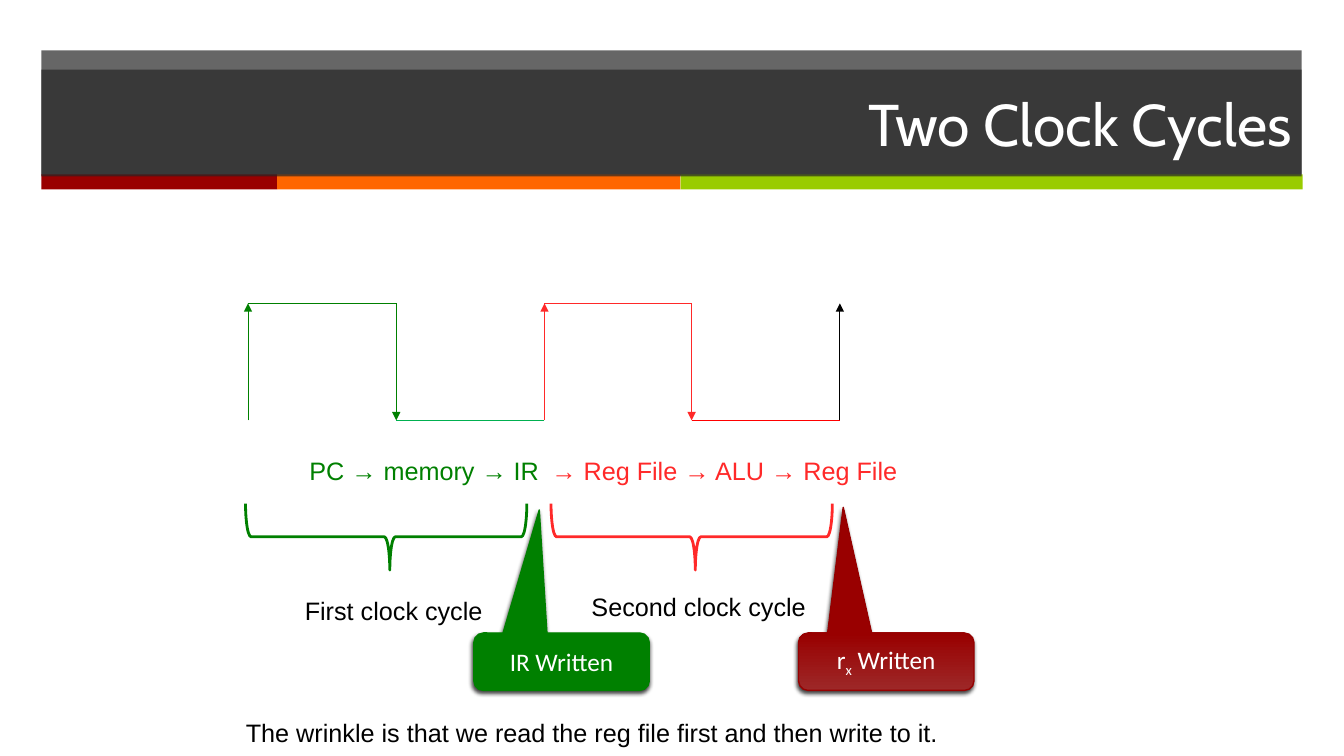
from pptx import Presentation
from pptx import util as u
from pptx.dml.color import RGBColor
from pptx.enum import shapes, text
from pptx.oxml import parse_xml
from pptx.oxml.ns import nsdecls, qn

PX = 9144
GREEN, RED, WHITE, BLACK = "008000", "FF2929", "FFFFFF", "000000"
LEFT, CENTER, RIGHT = text.PP_ALIGN.LEFT, text.PP_ALIGN.CENTER, text.PP_ALIGN.RIGHT
KIND = shapes.MSO_SHAPE
hue = RGBColor.from_string


def emu(*lengths):
    return [u.Emu(length * PX) for length in lengths]


def write(frame, spans, size, font, colour, align):
    para = frame.paragraphs[0]
    para.alignment = align
    para.font.size = u.Pt(size)
    para.font.name = font
    para.font.color.rgb = hue(colour)
    for words in spans:
        para.add_run().text = words


deck = Presentation()
deck.slide_width, deck.slide_height = emu(1333, 750)
page = deck.slides.add_slide(deck.slide_layouts[5])

band = page.shapes.add_shape(KIND.RECTANGLE, *emu(41, 50, 1250, 124))
for left, width, colour in [(41, 234, "990000"), (275, 400, "FF6600"), (675, 617, "99CC00")]:
    strip = page.shapes.add_shape(KIND.RECTANGLE, *emu(left, 173, width, 15))
    strip.shadow.inherit = False
    strip.fill.solid()
    strip.fill.fore_color.rgb = hue(colour)
    strip.line.fill.background()

title = page.shapes.title
title.left, title.top, title.width, title.height = emu(41, 69, 1250, 106)
title.text_frame.auto_size = text.MSO_AUTO_SIZE.NONE
title.text_frame.vertical_anchor = text.MSO_ANCHOR.MIDDLE
write(title.text_frame, ["Two Clock Cycles"], 42, "Cabin", WHITE, RIGHT)
title.element.getparent().append(title.element)

band.shadow.inherit = False
for panel in (band, title):
    panel.fill.solid()
    panel.fill.fore_color.rgb = hue("262626")
    panel.line.fill.background()
    tint = panel.element.spPr.find(qn("a:solidFill"))[0]
    tint.append(parse_xml(f'<a:alpha {nsdecls("a")} val="70000"/>'))

HIGH, LOW = 301, 417
edges = [246 + round(146.75 * step) for step in range(5)]
rises = [GREEN, GREEN, RED, RED, BLACK]
levels = [GREEN, "00B050", RED, "FF0000"]
wave = []
for step, (x, colour) in enumerate(zip(edges, rises)):
    start, end = (LOW, HIGH) if step % 2 == 0 else (HIGH, LOW)
    wave.append((x, start, x, end, colour, True))
    if step < len(levels):
        wave.append((x, end, edges[step + 1], end, levels[step], False))

for x1, y1, x2, y2, colour, arrow in wave:
    line = page.shapes.add_connector(shapes.MSO_CONNECTOR.STRAIGHT, *emu(x1, y1, x2, y2))
    line.line.color.rgb = hue(colour)
    line.line.width = u.Pt(0.75)
    if arrow:
        line.line._get_or_add_ln().append(
            parse_xml(f'<a:tailEnd {nsdecls("a")} type="triangle"/>'))
    line.element.spPr.append(parse_xml(f'<a:effectLst {nsdecls("a")}/>'))

for left, colour in [(350, GREEN), (653, RED)]:
    brace = page.shapes.add_shape(KIND.LEFT_BRACE, *emu(left, 393, 66, 279))
    brace.rotation = 270
    brace.adjustments[0] = 0.083
    brace.adjustments[1] = 0.513
    brace.shadow.inherit = False
    brace.fill.background()
    brace.line.color.rgb = hue(colour)
    brace.line.width = u.Pt(2)

labels = [
    (297, 447, 249, 40, False, "PC → memory → IR", GREEN, LEFT),
    (537, 447, 365, 40, False, "→ Reg File → ALU → Reg File", RED, LEFT),
    (287, 586, 207, 42, True, "First clock cycle", BLACK, CENTER),
    (571, 582, 244, 40, True, "Second clock cycle", BLACK, CENTER),
    (234, 707, 731, 40, True,
     "The wrinkle is that we read the reg file first and then write to it.", BLACK, LEFT),
]
for left, top, width, height, wrap, words, colour, align in labels:
    box = page.shapes.add_textbox(*emu(left, top, width, height))
    box.text_frame.word_wrap = wrap
    box.text_frame.auto_size = text.MSO_AUTO_SIZE.SHAPE_TO_FIT_TEXT
    write(box.text_frame, [words], 18, "Arial", colour, align)

callouts = [
    (470, (-0.127, -2.641, 0.167), [GREEN], GREEN, ["IR Written"]),
    (792, (-0.245, -2.686, 0.167), ["9D2828", "990000"], "960000", ["r", "x", " Written"]),
]
for left, tip, fills, outline, spans in callouts:
    callout = page.shapes.add_shape(KIND.ROUNDED_RECTANGULAR_CALLOUT, *emu(left, 628, 174, 57))
    for index, value in enumerate(tip):
        callout.adjustments[index] = value
    if len(fills) == 1:
        callout.fill.solid()
        callout.fill.fore_color.rgb = hue(fills[0])
    else:
        callout.fill.gradient()
        callout.fill.gradient_angle = 90
        for stop, colour in zip(callout.fill.gradient_stops, fills):
            stop.color.rgb = hue(colour)
    callout.line.color.rgb = hue(outline)
    callout.line.width = u.Pt(1)
    callout.shadow.inherit = False
    callout.element.spPr.find(qn("a:effectLst")).append(parse_xml(
        f'<a:outerShdw {nsdecls("a")} blurRad="38100" dist="25400" dir="6600000" rotWithShape="0">'
        '<a:srgbClr val="000000"><a:alpha val="75000"/></a:srgbClr></a:outerShdw>'))
    callout.text_frame.vertical_anchor = text.MSO_ANCHOR.MIDDLE
    write(callout.text_frame, spans, 18, "Calibri", WHITE, CENTER)
    for span in callout.text_frame.paragraphs[0].runs:
        if span.text == "x":
            span._r.get_or_add_rPr().set("baseline", "-25000")

deck.save("out.pptx")
